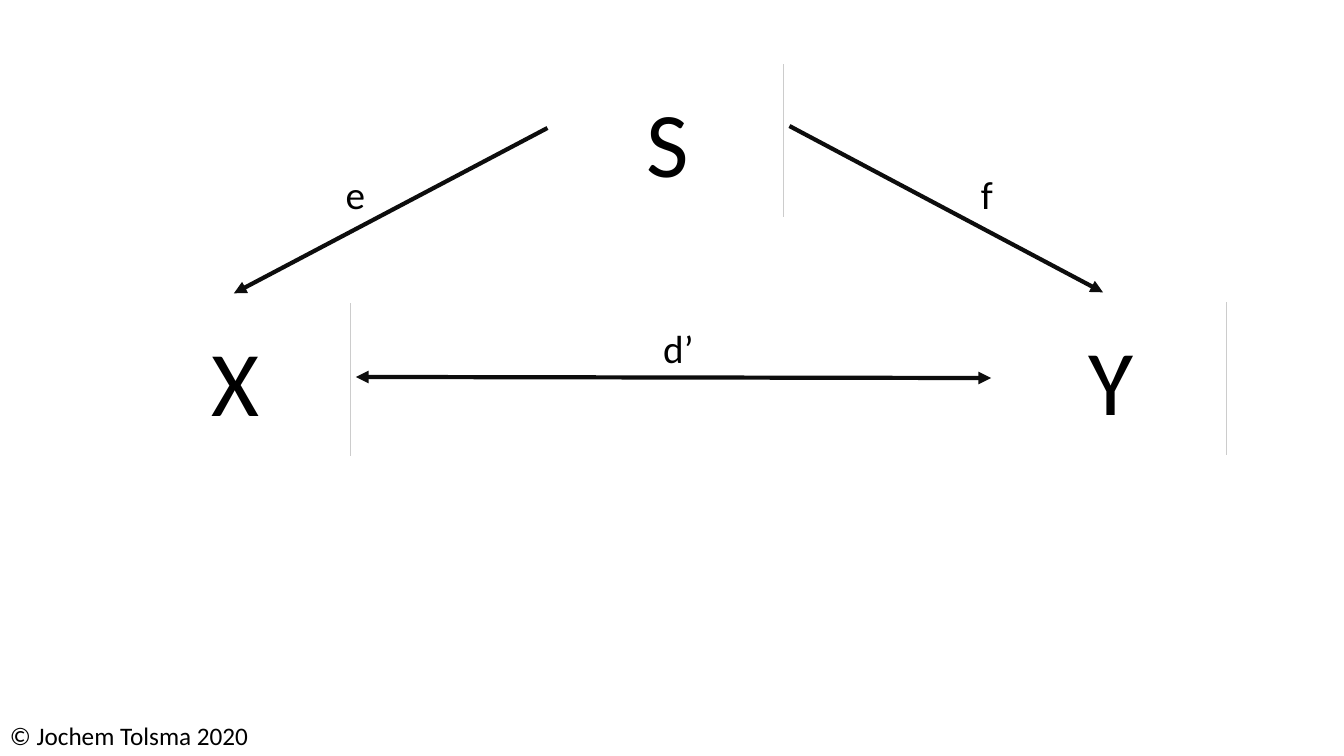
from pptx import Presentation
from pptx.dml.color import RGBColor
from pptx.enum.shapes import MSO_CONNECTOR, MSO_SHAPE
from pptx.enum.text import MSO_ANCHOR, PP_ALIGN
from pptx.oxml.ns import qn
from pptx.util import Inches, Pt
from lxml.etree import SubElement

COLORS = {"white": "FFFFFF", "text": "000000", "arrow": "0D0D0D", "edge": "CCCCCC"}
NODE_W, NODE_H = 2.29, 1.51


def color(name):
    return RGBColor.from_string(COLORS[name])


def write(frame, text, size=28, align=PP_ALIGN.LEFT, anchor=MSO_ANCHOR.TOP):
    frame.word_wrap = True
    frame.vertical_anchor = anchor
    para = frame.paragraphs[0]
    para.alignment = align
    run = para.add_run()
    run.text = text
    run.font.name = "Calibri"
    run.font.size = Pt(size)
    run.font.color.rgb = color("text")


def add_label(slide, text, left, top, width, height, **style):
    box = slide.shapes.add_textbox(Inches(left), Inches(top), Inches(width), Inches(height))
    write(box.text_frame, text, **style)


def add_line(slide, start, end, tint, width, heads=()):
    line = slide.shapes.add_connector(
        MSO_CONNECTOR.STRAIGHT, *[Inches(value) for value in (*start, *end)])
    line.line.color.rgb = color(tint)
    line.line.width = Pt(width)
    # Arrowheads, with headEnd before tailEnd
    for head in heads:
        SubElement(line.line._get_or_add_ln(), qn("a:" + head), type="triangle")
    SubElement(line._element.spPr, qn("a:effectLst"))


def add_node(slide, text, left, top):
    node = slide.shapes.add_shape(
        MSO_SHAPE.RECTANGLE, Inches(left), Inches(top), Inches(NODE_W), Inches(NODE_H))
    node.shadow.inherit = False
    node.fill.solid()
    node.fill.fore_color.rgb = color("white")
    node.line.fill.background()
    write(node.text_frame, text, size=66, align=PP_ALIGN.CENTER, anchor=MSO_ANCHOR.MIDDLE)
    # Thin edge on the right side
    right = left + NODE_W
    add_line(slide, (right, top), (right, top + NODE_H), "edge", 0.75)


def main():
    deck = Presentation()
    deck.slide_width, deck.slide_height = Inches(13.33), Inches(7.5)
    slide = deck.slides.add_slide(deck.slide_layouts[6])

    # Copyright line
    add_label(slide, "© Jochem Tolsma 2020", 0, 7.1, 3.74, 0.4, size=18)

    # Variables
    for name, left, top in (("X", 1.19, 3.01), ("Y", 9.87, 3), ("S", 5.48, 0.64)):
        add_node(slide, name, left, top)

    # Paths between the variables
    both = ("headEnd", "tailEnd")
    for start, end, heads in (
        ((3.53, 3.74), (9.83, 3.75), both),
        ((5.43, 1.27), (2.32, 2.91), both[1:]),
        ((7.83, 1.25), (10.94, 2.9), both[1:]),
    ):
        add_line(slide, start, end, "arrow", 3, heads)

    # Path labels
    for text, left, top, width in (
        ("d’", 6.48, 3.17, 0.67), ("e", 3.33, 1.64, 0.4), ("f", 9.63, 1.64, 0.4),
    ):
        add_label(slide, text, left, top, width, 0.57)

    deck.save("out.pptx")


if __name__ == "__main__":
    main()
